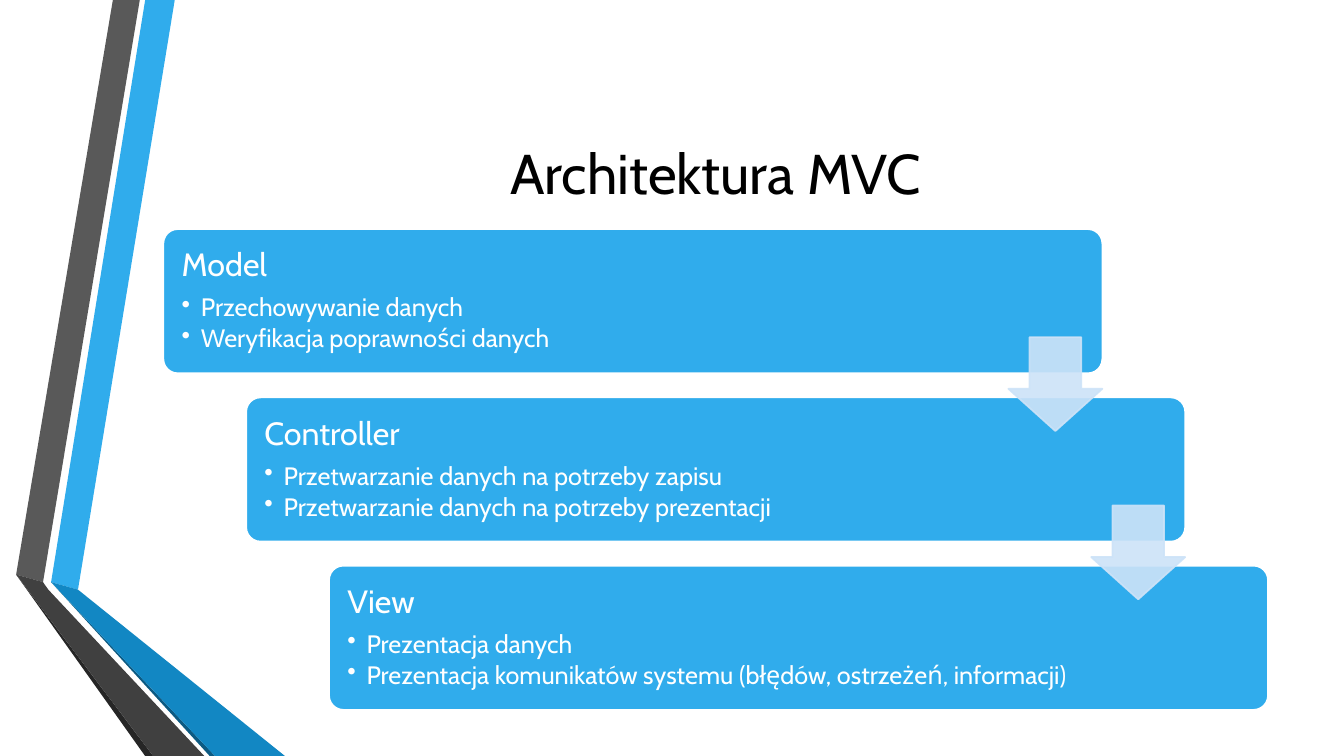
from dataclasses import dataclass

from lxml.etree import SubElement
from pptx import Presentation
from pptx.dml.color import RGBColor
from pptx.enum.shapes import MSO_SHAPE
from pptx.enum.text import MSO_ANCHOR, PP_ALIGN
from pptx.oxml.ns import qn
from pptx.util import Inches, Pt

COLOURS = {
    "blue": "30ACEC", "deep_blue": "1287C3", "navy": "0C5A82", "pale": "CDE3F8",
    "grey": "595959", "charcoal": "404040", "soot": "262626",
    "black": "000000", "white": "FFFFFF",
}
FONT = "Cabin"

RIBBONS = [
    ("blue", [(12.7, 77.1), (22.8, 77.7), (58.8, 0), (48.3, 0)]),
    ("grey", [(46.1, 0), (35.6, 0), (0, 76.4), (10.5, 76.9)]),
    ("soot", [(0, 76.4), (48.3, 100), (50.6, 100)]),
    ("navy", [(12.7, 77.2), (71.9, 100), (74.2, 100)]),
    ("deep_blue", [(12.7, 77.1), (74.2, 100), (100, 100), (22.8, 77.7)]),
    ("charcoal", [(0, 76.4), (50.6, 100), (69.7, 100), (12, 77.7), (10.5, 76.9)]),
]

LAYERS = [
    ("Model", ["Przechowywanie danych", "Weryfikacja poprawności danych"]),
    ("Controller", ["Przetwarzanie danych na potrzeby zapisu",
                    "Przetwarzanie danych na potrzeby prezentacji"]),
    ("View", ["Prezentacja danych",
              "Prezentacja komunikatów systemu (błędów, ostrzeżeń, informacji)"]),
]


@dataclass
class Box:
    """A rectangle that hands out regions of itself by share."""
    left: int
    top: int
    width: int
    height: int

    def inner(self, left, top, width, height):
        """Return the inner rectangle given as shares of this one."""
        return Box(int(self.left + left * self.width), int(self.top + top * self.height),
                   int(width * self.width), int(height * self.height))

    def bounds(self):
        """Return left, top, width and height."""
        return self.left, self.top, self.width, self.height


def colour(name):
    """Return the named colour."""
    return RGBColor.from_string(COLOURS[name])


def write(paragraph, text, size, ink="white", align=PP_ALIGN.LEFT, after=0,
          spacing=1.0, bullet=False):
    """Fill a paragraph with formatted text."""
    run = paragraph.add_run()
    run.text = text
    run.font.name, run.font.size = FONT, Pt(size)
    run.font.color.rgb = colour(ink)
    paragraph.alignment = align
    paragraph.line_spacing = spacing
    paragraph.space_after = Pt(after)
    if bullet:
        properties = paragraph._p.get_or_add_pPr()
        properties.set("marL", str(Inches(0.19)))
        properties.set("indent", str(Inches(-0.19)))
        SubElement(properties, qn("a:buChar")).set("char", "•")


def paint(shape, fill, line=None, opacity=100):
    """Give a shape a flat fill and an optional outline."""
    shape.shadow.inherit = False
    shape.fill.solid()
    shape.fill.fore_color.rgb = colour(fill)
    if line:
        shape.line.color.rgb = colour(line)
        shape.line.width = Pt(1.25)
    else:
        shape.line.fill.background()
    if opacity < 100:
        for tint in shape._element.spPr.iter(qn("a:srgbClr")):
            SubElement(tint, qn("a:alpha")).set("val", str(opacity * 1000))


def add_ribbons(slide, box):
    """Draw the folded ribbons from points in percent of the box."""
    for fill, points in RIBBONS:
        start, *rest = points
        outline = slide.shapes.build_freeform(
            *start, scale=(box.width / 100, box.height / 100))
        outline.add_line_segments(rest, close=True)
        paint(outline.convert_to_shape(box.left, box.top), fill)


def add_title(slide, box, text):
    """Place and fill the title placeholder."""
    title = slide.shapes.title
    title.left, title.top, title.width, title.height = box.bounds()
    title.text_frame.vertical_anchor = MSO_ANCHOR.MIDDLE
    write(title.text_frame.paragraphs[0], text, 40, "black", PP_ALIGN.CENTER)


def add_card(slide, box, heading, duties):
    """Draw one layer with its heading and bulleted duties."""
    card = slide.shapes.add_shape(MSO_SHAPE.ROUNDED_RECTANGLE, *box.bounds())
    card.adjustments[0] = 0.1
    paint(card, "blue", "white")
    frame = card.text_frame
    frame.word_wrap = True
    frame.vertical_anchor = MSO_ANCHOR.MIDDLE
    frame.margin_left = frame.margin_right = Inches(0.14)
    frame.margin_top = frame.margin_bottom = Inches(0.14)
    write(frame.paragraphs[0], heading, 23, after=8, spacing=0.9)
    for duty in duties:
        write(frame.add_paragraph(), duty, 18, after=2.7, spacing=0.9, bullet=True)


def add_arrow(slide, box):
    """Draw one arrow leading to the next layer."""
    arrow = slide.shapes.add_shape(MSO_SHAPE.DOWN_ARROW, *box.bounds())
    arrow.adjustments[0], arrow.adjustments[1] = 0.45, 0.55
    arrow.adjustments[0], arrow.adjustments[1] = 0.55, 0.45
    paint(arrow, "pale", "pale", opacity=90)


def add_staircase(slide, box, layers):
    """Step the layers down across the box and link them with arrows."""
    width, height = 0.85, 0.3
    steps = len(layers) - 1
    places = [box.inner(step * (1 - width) / steps, step * (1 - height) / steps,
                        width, height) for step in range(len(layers))]
    for place, (heading, duties) in zip(places, layers):
        add_card(slide, place, heading, duties)
    for place in places[:-1]:
        add_arrow(slide, place.inner(0.9, 0.75, 0.1, 0.65))


def main():
    """Build and save the presentation."""
    deck = Presentation()
    deck.slide_width, deck.slide_height = Inches(13.33), Inches(7.5)
    slide = deck.slides.add_slide(deck.slide_layouts[5])
    page = Box(0, 0, deck.slide_width, deck.slide_height)
    content = page.inner(0.1215, 0, 0.822, 1)
    add_ribbons(slide, page.inner(0.012, 0, 0.2, 1))
    add_title(slide, content.inner(0, 0.1, 1, 0.256), "Architektura MVC")
    add_staircase(slide, content.inner(0, 0.303, 1, 0.636), LAYERS)
    deck.save("out.pptx")


main()
